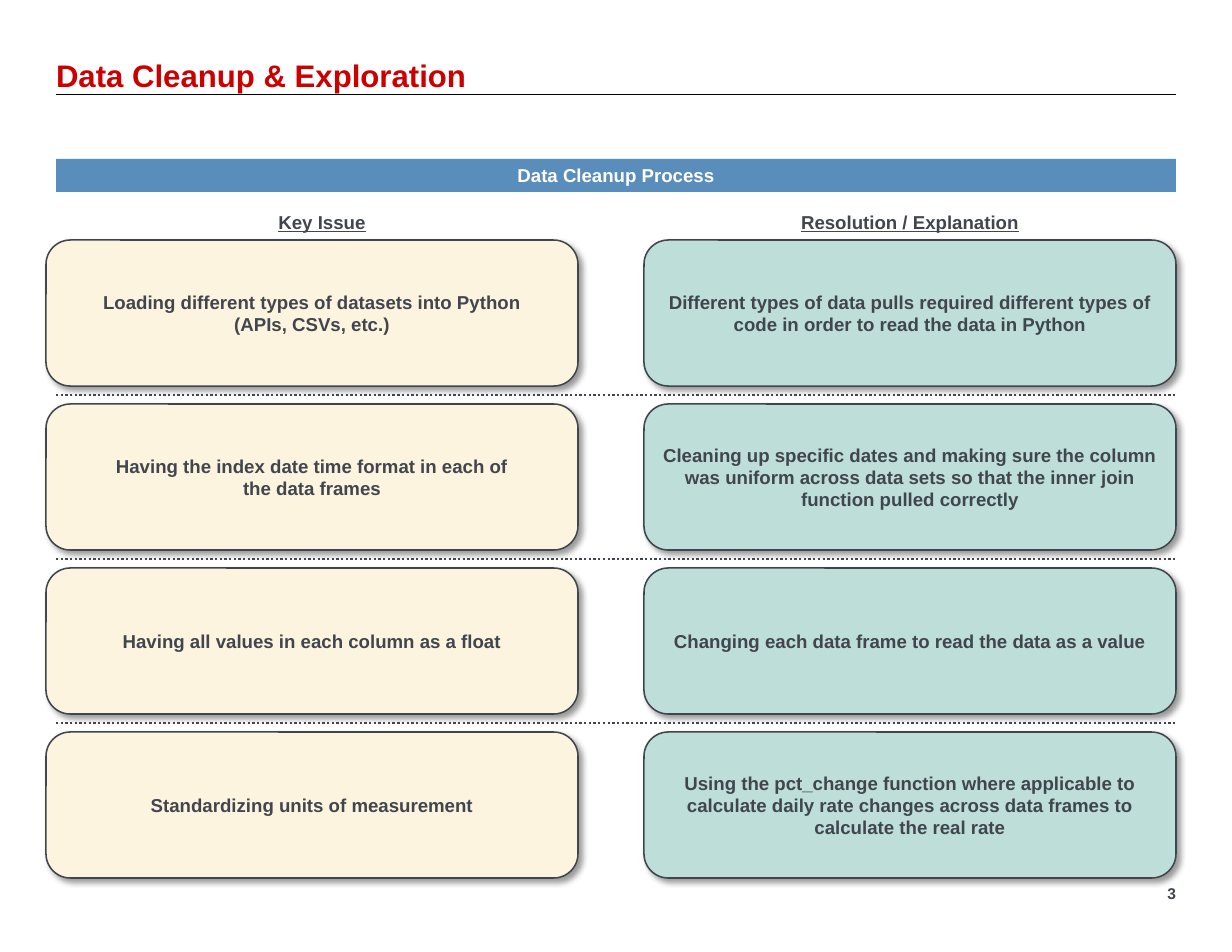
from dataclasses import dataclass

from lxml import etree
from pptx import Presentation
from pptx.dml.color import RGBColor
from pptx.enum.dml import MSO_LINE
from pptx.enum.shapes import MSO_CONNECTOR, MSO_SHAPE
from pptx.enum.text import MSO_ANCHOR, MSO_AUTO_SIZE, PP_ALIGN
from pptx.oxml import parse_xml
from pptx.oxml.ns import nsdecls, qn
from pptx.util import Emu, Pt

PX = 914400 // 112


@dataclass(frozen=True)
class Theme:
    font: str = "Arial"
    title: str = "CC0000"
    ink: str = "41464E"
    rule: str = "000000"
    banner: str = "598DBC"
    on_banner: str = "FFFFFF"
    issue: str = "FCF4DE"
    resolution: str = "BDDED9"
    title_pt: int = 20
    body_pt: int = 12
    page_pt: int = 10


THEME = Theme()

# Layout in pixels
LEFT, RIGHT = 56, 1176
ISSUE_X, RESOLUTION_X = 46, 644
CARD_W, CARD_H = 532, 146
FIRST_ROW, GAP = 240, 18

ROWS = [
    ("Loading different types of datasets into Python\n(APIs, CSVs, etc.)",
     "Different types of data pulls required different types of code "
     "in order to read the data in Python"),
    ("Having the index date time format in each of\nthe data frames",
     "Cleaning up specific dates and making sure the column was uniform "
     "across data sets so that the inner join function pulled correctly"),
    ("Having all values in each column as a float",
     "Changing each data frame to read the data as a value"),
    ("Standardizing units of measurement",
     "Using the pct_change function where applicable to calculate daily "
     "rate changes across data frames to calculate the real rate"),
]


def px(*values):
    return [Emu(value * PX) for value in values]


def rgb(value):
    return RGBColor.from_string(value)


def write(shape, text, color=THEME.ink, size=THEME.body_pt,
          align=PP_ALIGN.CENTER, anchor=MSO_ANCHOR.MIDDLE,
          underline=None, inset=True):
    frame = shape.text_frame
    frame.text = text
    frame.word_wrap = True
    frame.vertical_anchor = anchor
    if not inset:
        frame.margin_left = frame.margin_right = 0
        frame.margin_top = frame.margin_bottom = 0
    for paragraph in frame.paragraphs:
        paragraph.alignment = align
        for run in paragraph.runs:
            font = run.font
            font.name, font.size, font.bold = THEME.font, Pt(size), True
            font.underline = underline
            font.color.rgb = rgb(color)


def add_title(slide, text):
    title = slide.shapes.title
    title.left, title.top, title.width, title.height = px(LEFT, 56, 1008, 38)
    write(title, text, THEME.title, THEME.title_pt, PP_ALIGN.LEFT,
          MSO_ANCHOR.BOTTOM, inset=False)
    title.text_frame.auto_size = MSO_AUTO_SIZE.SHAPE_TO_FIT_TEXT
    title.text_frame.paragraphs[0].line_spacing = Pt(24)


def add_label(slide, box, text, **style):
    write(slide.shapes.add_textbox(*px(*box)), text, **style)


def add_rule(slide, y, color, weight, dash=None):
    line = slide.shapes.add_connector(MSO_CONNECTOR.STRAIGHT,
                                      *px(LEFT, y, RIGHT, y))
    line.line.color.rgb = rgb(color)
    line.line.width = Pt(weight)
    if dash:
        line.line.dash_style = dash
    etree.SubElement(line.element.spPr, qn("a:effectLst"))


def add_banner(slide, text):
    banner = slide.shapes.add_shape(MSO_SHAPE.RECTANGLE,
                                    *px(LEFT, 159, RIGHT - LEFT, 33))
    banner.shadow.inherit = False
    banner.fill.solid()
    banner.fill.fore_color.rgb = rgb(THEME.banner)
    banner.line.fill.background()
    write(banner, text, THEME.on_banner)


def add_card(slide, x, y, fill, text):
    card = slide.shapes.add_shape(MSO_SHAPE.ROUNDED_RECTANGLE,
                                  *px(x, y, CARD_W, CARD_H))
    card.fill.solid()
    card.fill.fore_color.rgb = rgb(fill)
    card.line.color.rgb = rgb(THEME.ink)
    card.line.width = Pt(1)
    card.element.spPr.append(parse_xml(
        f'<a:effectLst {nsdecls("a")}>'
        f'<a:outerShdw blurRad="{Pt(4)}" dist="{Pt(3)}" dir="2700000" '
        'algn="tl" rotWithShape="0"><a:srgbClr val="000000">'
        '<a:alpha val="40000"/></a:srgbClr></a:outerShdw></a:effectLst>'))
    write(card, text)


def main():
    prs = Presentation()
    prs.slide_width, prs.slide_height = px(1232, 952)
    slide = prs.slides.add_slide(prs.slide_layouts.get_by_name("Title Only"))

    # Heading
    add_rule(slide, 94, THEME.rule, 0.5)
    add_title(slide, "Data Cleanup & Exploration")
    add_banner(slide, "Data Cleanup Process")

    # Column headings
    for x, heading in ((LEFT, "Key Issue"),
                       (RESOLUTION_X, "Resolution / Explanation")):
        add_label(slide, (x, 205, CARD_W, 34), heading, underline=True)

    # Issue and resolution pairs, with dotted rules between them
    for index, (issue, resolution) in enumerate(ROWS):
        y = FIRST_ROW + index * (CARD_H + GAP)
        if index:
            add_rule(slide, y - GAP // 2, THEME.ink, 1.5,
                     MSO_LINE.ROUND_DOT)
        add_card(slide, ISSUE_X, y, THEME.issue, issue)
        add_card(slide, RESOLUTION_X, y, THEME.resolution, resolution)

    # Page number
    add_label(slide, (1136, 877, 40, 32), "3", size=THEME.page_pt,
              align=PP_ALIGN.RIGHT, inset=False)

    prs.save("out.pptx")


main()
